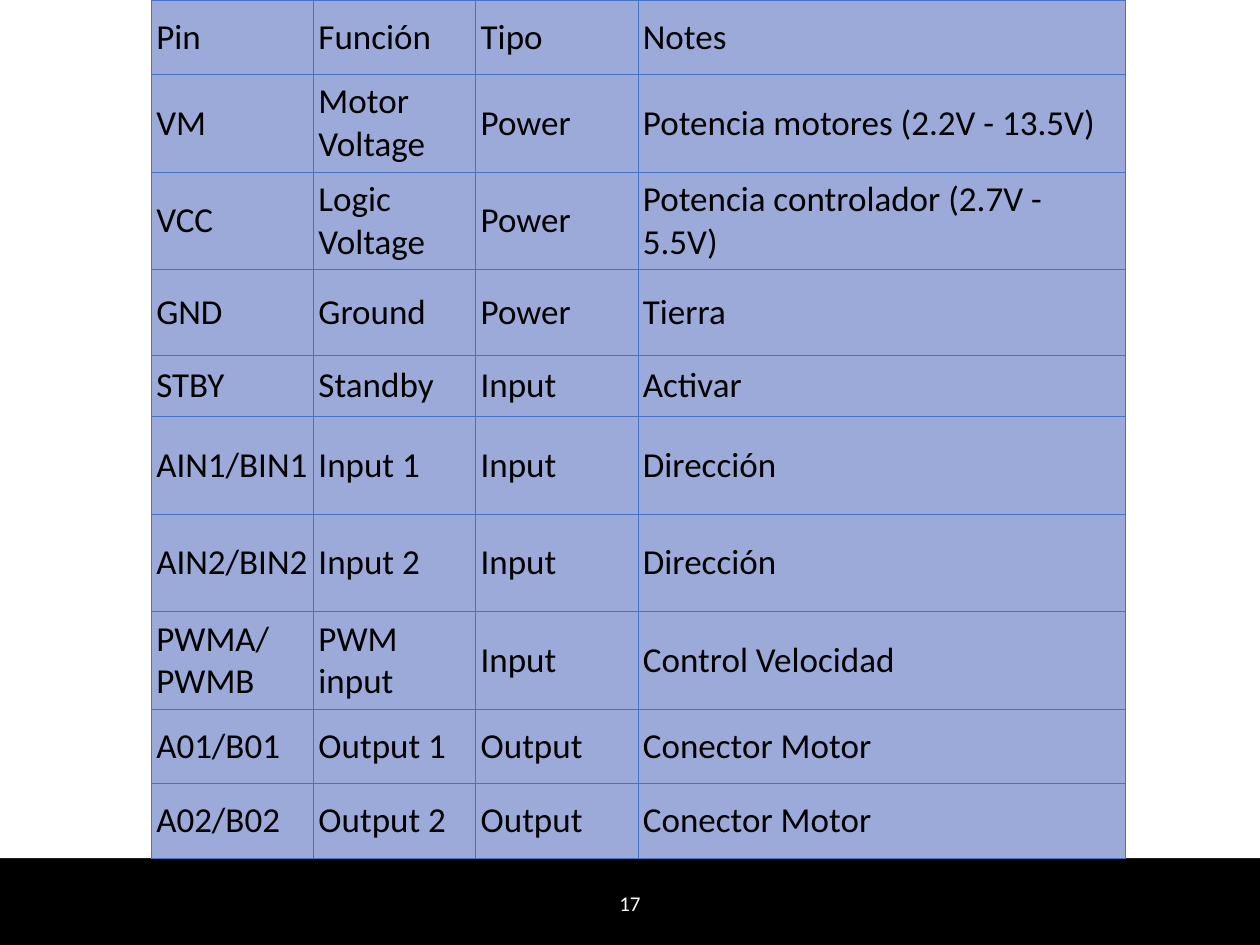
from lxml import etree
from pptx import Presentation
from pptx import util as u
from pptx.dml import color
from pptx.enum import shapes, text
from pptx.oxml import ns

ROWS = [
    ("Pin", "Función", "Tipo", "Notes"),
    ("VM", "Motor Voltage", "Power", "Potencia motores (2.2V - 13.5V)"),
    ("VCC", "Logic Voltage", "Power", "Potencia controlador (2.7V - 5.5V)"),
    ("GND", "Ground", "Power", "Tierra"),
    ("STBY", "Standby", "Input", "Activar"),
    ("AIN1/BIN1", "Input 1", "Input", "Dirección"),
    ("AIN2/BIN2", "Input 2", "Input", "Dirección"),
    ("PWMA/PWMB", "PWM input", "Input", "Control Velocidad"),
    ("A01/B01", "Output 1", "Output", "Conector Motor"),
    ("A02/B02", "Output 2", "Output", "Conector Motor"),
]
COLUMN_WIDTHS = [3.27, 3.27, 3.27, 9.83]
ROW_HEIGHTS = [1.5, 1.97, 1.97, 1.73, 1.22, 1.97, 1.97, 1.97, 1.5, 1.5]
PAGE_WIDTH, PAGE_HEIGHT = 25.4, 19.05
BODY_HEIGHT = sum(ROW_HEIGHTS)


def paint(target, value):
    target.rgb = color.RGBColor.from_string(value)


def write(frame, words, size=20, ink="000000", align=text.PP_ALIGN.LEFT, font="Calibri"):
    para = frame.paragraphs[0]
    para.alignment = align
    span = para.add_run()
    span.text = words
    span.font.size = u.Pt(size)
    span.font.name = font
    paint(span.font.color, ink)


class PinSlide:
    """Draws the pin table page in one consistent style."""

    cell_fill = "9BAAD9"
    border = "4472C4"
    border_width = 0.5

    def __init__(self, page):
        self.page = page

    def band(self, top, height, fill, line=None):
        box = self.page.shapes.add_shape(
            shapes.MSO_SHAPE.RECTANGLE, 0, u.Cm(top), u.Cm(PAGE_WIDTH), u.Cm(height))
        box.shadow.inherit = False
        box.fill.solid()
        paint(box.fill.fore_color, fill)
        if line:
            box.line.width = u.Pt(1)
            paint(box.line.color, line)
        else:
            box.line.fill.background()

    def label(self, words, left, top, width, height, **style):
        box = self.page.shapes.add_textbox(*map(u.Cm, (left, top, width, height)))
        frame = box.text_frame
        frame.word_wrap = True
        frame.vertical_anchor = text.MSO_ANCHOR.MIDDLE
        write(frame, words, **style)

    def outline(self, cell):
        properties = cell._tc.get_or_add_tcPr()
        for side in ("lnL", "lnR", "lnT", "lnB"):
            line = etree.SubElement(properties, ns.qn(f"a:{side}"), w=str(u.Pt(self.border_width)))
            fill = etree.SubElement(line, ns.qn("a:solidFill"))
            etree.SubElement(fill, ns.qn("a:srgbClr"), val=self.border)

    def fill_cell(self, cell, words):
        cell.margin_left = cell.margin_right = u.Cm(0.1)
        cell.margin_top = cell.margin_bottom = u.Cm(0.05)
        cell.vertical_anchor = text.MSO_ANCHOR.MIDDLE
        self.outline(cell)
        cell.fill.solid()
        paint(cell.fill.fore_color, self.cell_fill)
        write(cell.text_frame, words)

    def table(self, rows, widths, heights, left, top):
        size = (left, top, sum(widths), sum(heights))
        grid = self.page.shapes.add_table(len(rows), len(widths), *map(u.Cm, size)).table
        grid.first_row = grid.horz_banding = False
        for column, width in zip(grid.columns, widths):
            column.width = u.Cm(width)
        for row, height, values in zip(grid.rows, heights, rows):
            row.height = u.Cm(height)
            for cell, words in zip(row.cells, values):
                self.fill_cell(cell, words)


def main():
    deck = Presentation()
    deck.slide_width, deck.slide_height = u.Cm(PAGE_WIDTH), u.Cm(PAGE_HEIGHT)
    slide = PinSlide(deck.slides.add_slide(deck.slide_layouts[6]))
    slide.band(BODY_HEIGHT, PAGE_HEIGHT - BODY_HEIGHT, "000000", line="000000")
    slide.band(0, BODY_HEIGHT, "FFFFFF")
    slide.label("17", 9.85, 17.7, 5.7, 1.02, size=12, ink="FFFFFF", align=text.PP_ALIGN.CENTER)
    slide.table(ROWS, COLUMN_WIDTHS, ROW_HEIGHTS, 3.05, 0)
    deck.save("out.pptx")


if __name__ == "__main__":
    main()
